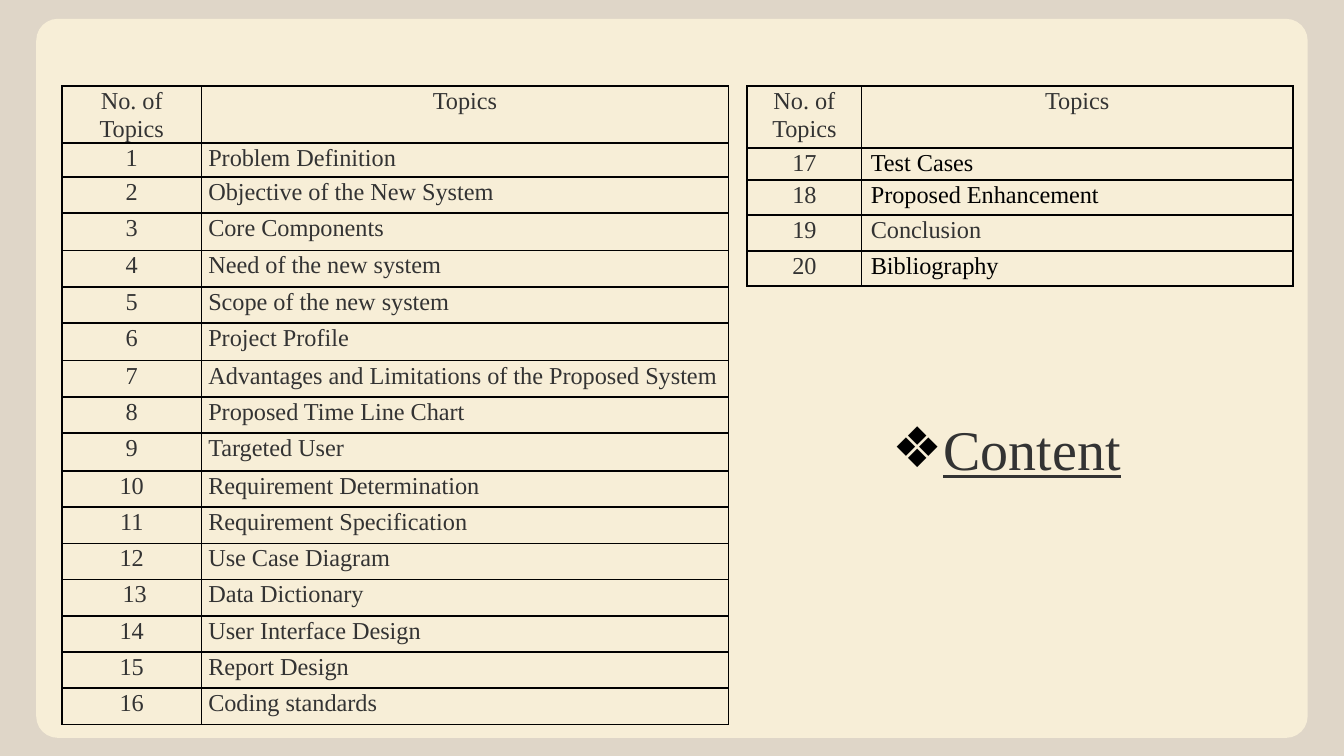
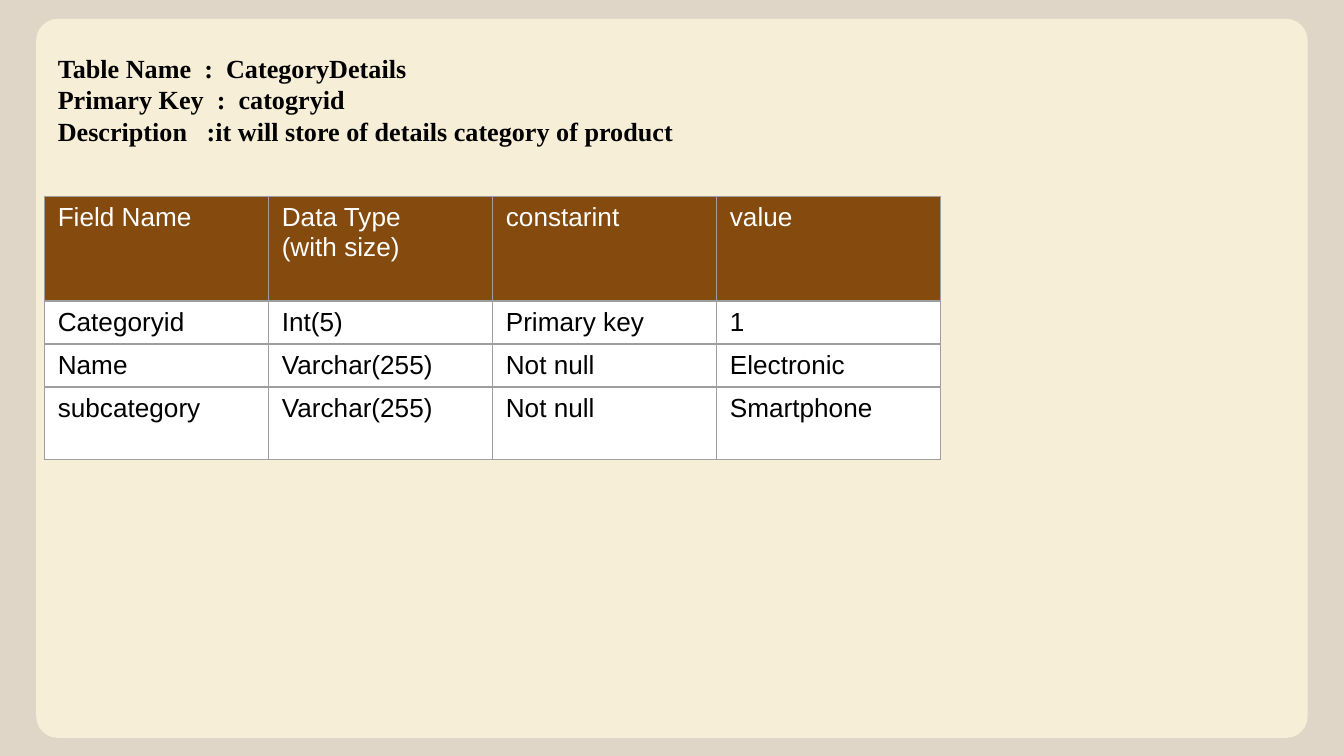
from dataclasses import dataclass

from lxml import etree
from pptx import Presentation
from pptx import util as u
from pptx.dml.color import RGBColor
from pptx.enum import shapes, text
from pptx.oxml.ns import qn


@dataclass(frozen=True)
class Theme:
    backdrop: str = "DFD6C8"
    panel: str = "F7EED7"
    brown: str = "854A0E"
    white: str = "FFFFFF"
    black: str = "000000"
    ink: str = "333333"
    rule: str = "9E9E9E"
    serif: str = "Times New Roman"
    sans: str = "Arial"
    title: float = 30
    body: float = 14
    small: float = 13
    spacing: float = 1.07
    after: float = 8


class Deck:
    COLS, ROWS = 100, 56.25

    def __init__(self, theme):
        self.t = theme
        self.prs = Presentation()
        self.prs.slide_width, self.prs.slide_height = u.Inches(10), u.Inches(5.625)
        fill = self.prs.slide_master.background.fill
        fill.solid()
        fill.fore_color.rgb = RGBColor.from_string(theme.backdrop)
        self.s = None

    def col(self, n):
        return round(self.prs.slide_width * n / self.COLS)

    def row(self, n):
        return round(self.prs.slide_height * n / self.ROWS)

    def box(self, x, y, w, h):
        return self.col(x), self.row(y), self.col(w), self.row(h)

    def slide(self):
        self.s = self.prs.slides.add_slide(self.prs.slide_layouts[5])
        self.panel()

    def panel(self):
        sp = self.s.shapes.add_shape(
            shapes.MSO_SHAPE.ROUNDED_RECTANGLE, *self.box(2.7, 1.4, 94.6, 53.5))
        sp.adjustments[0] = 0.03
        sp.shadow.inherit = False
        sp.fill.solid()
        sp.fill.fore_color.rgb = RGBColor.from_string(self.t.panel)
        sp.line.fill.background()
        self.s.shapes._spTree.insert(2, sp._element)

    def style(self, tf, font, size, color, bold=False, underline=False,
              align=text.PP_ALIGN.LEFT, spacing=1.0, after=0):
        for p in tf.paragraphs:
            p.alignment = align
            p.line_spacing = spacing
            p.space_after = u.Pt(after)
            for r in p.runs:
                f = r.font
                f.name, f.size, f.bold, f.underline = font, u.Pt(size), bold, underline
                f.color.rgb = RGBColor.from_string(color)

    def title(self, words, place, margin, **look):
        sp = self.s.shapes.title
        sp.left, sp.top, sp.width, sp.height = self.box(*place)
        tf = sp.text_frame
        tf.text = words
        tf.word_wrap = True
        tf.auto_size = text.MSO_AUTO_SIZE.NONE
        tf.vertical_anchor = text.MSO_ANCHOR.TOP
        tf.margin_left = tf.margin_right = self.col(1)
        tf.margin_top = tf.margin_bottom = self.row(margin)
        self.style(tf, self.t.serif, **look)
        return tf

    def bullet(self, p, char, color, indent):
        pPr = p._p.get_or_add_pPr()
        pPr.set("marL", str(self.col(indent)))
        pPr.set("indent", str(-self.col(indent)))
        clr = etree.SubElement(pPr, qn("a:buClr"))
        etree.SubElement(clr, qn("a:srgbClr"), val=color)
        etree.SubElement(pPr, qn("a:buFont"), typeface=self.t.sans)
        etree.SubElement(pPr, qn("a:buChar"), char=char)

    def borders(self, cell, color, width):
        tcPr = cell._tc.get_or_add_tcPr()
        for i, side in enumerate(("lnL", "lnR", "lnT", "lnB")):
            ln = etree.Element(qn(f"a:{side}"), w=str(u.Pt(width)))
            fill = etree.SubElement(ln, qn("a:solidFill"))
            etree.SubElement(fill, qn("a:srgbClr"), val=color)
            tcPr.insert(i, ln)

    def table(self, rows, at, widths, heights, look, line):
        place = self.box(*at, sum(widths), sum(heights))
        tbl = self.s.shapes.add_table(len(rows), len(widths), *place).table
        tbl.first_row = tbl.horz_banding = False
        for column, w in zip(tbl.columns, widths):
            column.width = self.col(w)
        for line_row, h in zip(tbl.rows, heights):
            line_row.height = self.row(h)
        for i, words in enumerate(rows):
            for j, word in enumerate(words):
                cell = tbl.cell(i, j)
                cell.text = word
                fill, side, top, font = look(i, j)
                cell.margin_left = cell.margin_right = self.col(side)
                cell.margin_top = cell.margin_bottom = self.row(top)
                if fill:
                    cell.fill.solid()
                    cell.fill.fore_color.rgb = RGBColor.from_string(fill)
                else:
                    cell.fill.background()
                self.style(cell.text_frame, **font)
                self.borders(cell, *line)

    def topics(self, rows, at, widths, heights, pad=0.5, dark=()):
        t = self.t

        def look(i, j):
            centred = j == 0 or i == 0
            return None, 0.5 if centred else pad, 0, dict(
                font=t.serif, size=t.small,
                color=t.black if j and i in dark else t.ink,
                align=text.PP_ALIGN.CENTER if centred else text.PP_ALIGN.LEFT,
                spacing=t.spacing, after=t.after)

        header = ("No. of Topics", "Topics")
        self.table([header, *rows], at, widths, heights, look, (t.black, 1))

    def fields(self, rows, at, widths, heights):
        t = self.t

        def look(i, j):
            return t.white if i else t.brown, 1, 0.5, dict(
                font=t.sans, size=t.body, color=t.black if i else t.white)

        self.table(rows, at, widths, heights, look, (t.rule, 0.75))


TOPICS = [
    ("1", "Problem Definition"),
    ("2", "Objective of the New System"),
    ("3", "Core Components"),
    ("4", "Need of the new system"),
    ("5", "Scope of the new system"),
    ("6", "Project Profile"),
    ("7", "Advantages and Limitations of the Proposed System"),
    ("8", "Proposed Time Line Chart"),
    ("9", "Targeted User"),
    ("10", "Requirement Determination"),
    ("11", "Requirement Specification"),
    ("12", "Use Case Diagram"),
    (" 13", "Data Dictionary"),
    ("14", "User Interface Design"),
    ("15", "Report Design"),
    ("16", "Coding standards"),
]
MORE_TOPICS = [
    ("17", "Test Cases"),
    ("18", "Proposed Enhancement"),
    ("19", "Conclusion"),
    ("20", "Bibliography"),
]
FIELDS = [
    ("Field Name", "Data Type\n(with size)", "constarint", "value"),
    ("Categoryid", "Int(5)", "Primary key", "1"),
    ("Name", "Varchar(255)", "Not null", "Electronic"),
    ("subcategory", "Varchar(255)", "Not null", "Smartphone"),
]
HEADING = """Table Name  :  CategoryDetails
Primary Key  :  catogryid
Description   :it will store of details category of product"""


def content_slide(deck):
    t = deck.t
    deck.slide()
    tf = deck.title("Content", (65.4, 29.5, 33.3, 8.9), 1, size=t.title, color=t.ink,
                    underline=True, spacing=t.spacing, after=t.after)
    deck.bullet(tf.paragraphs[0], "❖", t.black, 3.8)
    heights = [4, 2.5] + [2.8 if n in (3, 6, 9) else 2.7 for n in range(2, 17)]
    deck.topics(TOPICS, (4.6, 6.4), (10.4, 39.2), heights)
    deck.topics(MORE_TOPICS, (55.6, 6.4), (8.5, 32.1), (4.6, 2.4, 2.6, 2.7, 2.6),
                pad=0.7, dark=(1, 2, 4))


def category_slide(deck):
    t = deck.t
    deck.slide()
    deck.title(HEADING, (3.3, 3.4, 50, 8.1), 0.5, size=t.body, color=t.black, bold=True)
    deck.fields(FIELDS, (3.3, 14.6), [16.67] * 4, (7.8, 3.2, 3.2, 5.4))


def main():
    deck = Deck(Theme())
    content_slide(deck)
    category_slide(deck)
    deck.prs.save("out.pptx")


if __name__ == "__main__":
    main()
